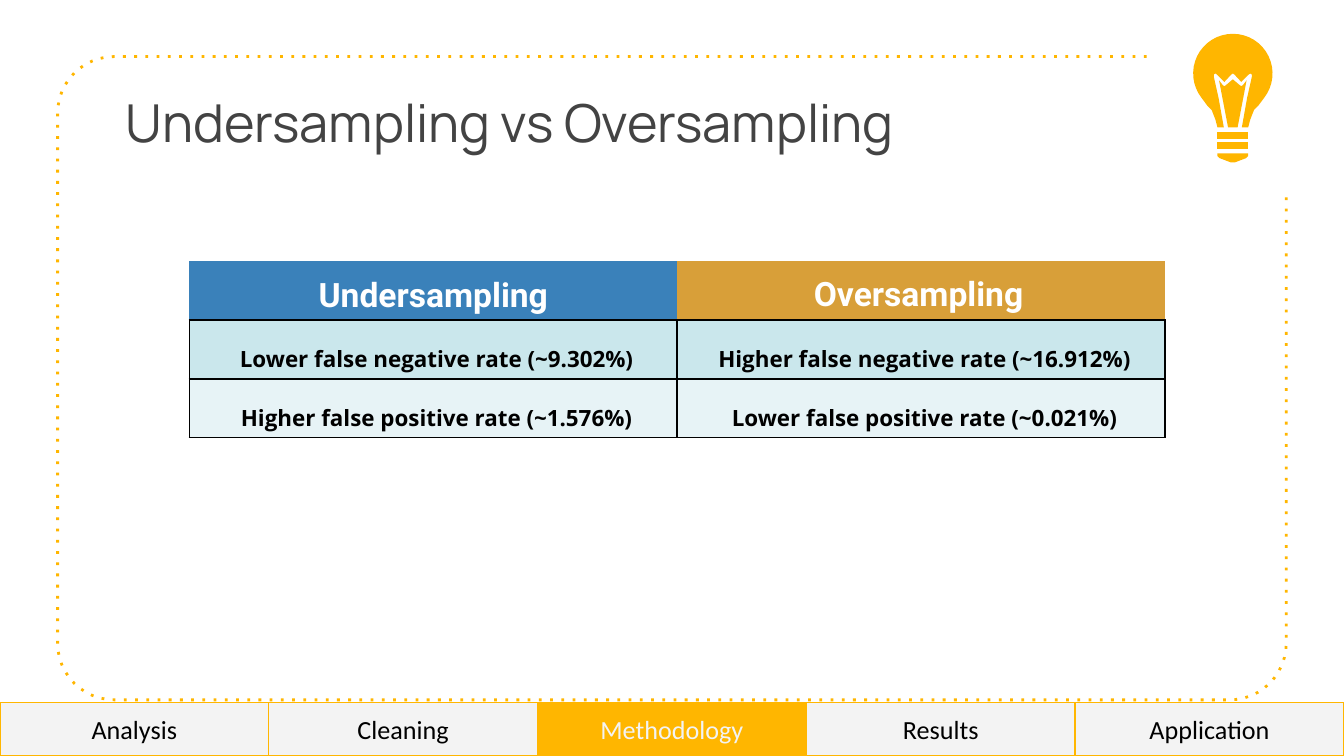
import math
import pptx
import pptx.util
import pptx.dml.color
import pptx.enum.shapes
import pptx.enum.text
import pptx.oxml
import pptx.oxml.ns
from lxml import etree
from pptx.util import Cm, Pt

# Content
TITLE = "Undersampling vs Oversampling"
TABLE_ROWS = [
    ("Undersampling", "Oversampling"),
    ("Lower false negative rate (~9.302%)", "Higher false negative rate (~16.912%)"),
    ("Higher false positive rate (~1.576%)", "Lower false positive rate (~0.021%)"),
]
SECTIONS = ["Analysis", "Cleaning", "Methodology", "Results", "Application"]
CURRENT_SECTION = "Methodology"

THEME = {
    "accent": "FFB600", "tab": "F3F3F3", "title": "434343",
    "black": "000000", "white": "FFFFFF",
    "cells": [("3A81BA", "D89F39"), ("CAE7EC",) * 2, ("E7F3F6",) * 2],
    "title_font": ("Manrope", 28), "header_font": ("Roboto", 18),
    "body_font": ("Open Sans", 12), "tab_font": ("Calibri", 14),
}

# Geometry in centimetres
SLIDE_WIDTH, SLIDE_HEIGHT = 25.4, 14.29
FRAME_LEFT, FRAME_TOP, FRAME_RIGHT, FRAME_BOTTOM = 1.09, 1.07, 24.31, 13.23
FRAME_RADIUS = 1.07
TAB_TOP, TAB_HEIGHT = 13.28, 1.0
BULB_AXIS, BULB_CENTRE, BULB_RADIUS = 23.3, 1.39, 0.75


def color(name):
    return pptx.dml.color.RGBColor.from_string(THEME.get(name, name))


def arc(center_x, center_y, radius, start, end, steps=12):
    angles = [math.radians(start + (end - start) * i / steps) for i in range(steps + 1)]
    return [(center_x + radius * math.cos(a), center_y + radius * math.sin(a)) for a in angles]


def add_outline(slide, points, closed):
    points = [(Cm(x), Cm(y)) for x, y in points]
    builder = slide.shapes.build_freeform(*points[0])
    builder.add_line_segments(points[1:], close=closed)
    shape = builder.convert_to_shape()
    shape.shadow.inherit = False
    return shape


def write(text_frame, text, font, color_name, bold=False, centered=True):
    paragraph = text_frame.paragraphs[0]
    paragraph.text = text
    alignment = pptx.enum.text.PP_ALIGN
    paragraph.alignment = alignment.CENTER if centered else alignment.LEFT
    paragraph.font.name, size = THEME[font]
    paragraph.font.size = Pt(size)
    paragraph.font.bold = bold
    paragraph.font.color.rgb = color(color_name)


def set_margins(target, left, top, right, bottom):
    target.margin_left, target.margin_top = Cm(left), Cm(top)
    target.margin_right, target.margin_bottom = Cm(right), Cm(bottom)


def set_borders(cell, visible_sides):
    properties = cell._tc.get_or_add_tcPr()
    for index, side in enumerate("LRTB"):
        fill = (f'<a:solidFill><a:srgbClr val="{THEME["black"]}"/></a:solidFill>'
                if side in visible_sides else "<a:noFill/>")
        properties.insert(index, pptx.oxml.parse_xml(
            f'<a:ln{side} {pptx.oxml.ns.nsdecls("a")} w="{Pt(1)}">{fill}</a:ln{side}>'))


def add_frame(slide):
    left, right = FRAME_LEFT + FRAME_RADIUS, FRAME_RIGHT - FRAME_RADIUS
    top, bottom = FRAME_TOP + FRAME_RADIUS, FRAME_BOTTOM - FRAME_RADIUS
    points = ([(21.67, FRAME_TOP)]
              + arc(left, top, FRAME_RADIUS, 270, 180)
              + arc(left, bottom, FRAME_RADIUS, 180, 90)
              + arc(right, bottom, FRAME_RADIUS, 90, 0)
              + [(FRAME_RIGHT, 3.71)])
    frame = add_outline(slide, points, closed=False)
    frame.fill.background()
    frame.line.color.rgb = color("accent")
    frame.line.width = Pt(1.5)
    line = frame.element.spPr.find(pptx.oxml.ns.qn("a:ln"))
    etree.SubElement(line, pptx.oxml.ns.qn("a:prstDash")).set("val", "dot")


def add_table(slide):
    table = slide.shapes.add_table(
        3, 2, Cm(3.58), Cm(4.94), Cm(18.44), Cm(3.33)).table
    for row_index, texts in enumerate(TABLE_ROWS):
        header = row_index == 0
        for column_index, text in enumerate(texts):
            cell = table.cell(row_index, column_index)
            cell.fill.solid()
            cell.fill.fore_color.rgb = color(THEME["cells"][row_index][column_index])
            cell.vertical_anchor = pptx.enum.text.MSO_ANCHOR.MIDDLE
            if header:
                set_margins(cell, 0, 0.2 - 0.02 * column_index, 0.1 * column_index, 0)
            else:
                set_margins(cell, 0.23, 0.41, 0.1, 0.05)
            write(cell.text_frame, text, "header_font" if header else "body_font",
                  "white" if header else "black", bold=True)
            set_borders(cell, "B" if header else "LRTB")


def add_title(slide):
    box = slide.shapes.add_textbox(Cm(2.13), Cm(1.45), Cm(19.08), Cm(2.39))
    box.text_frame.word_wrap = True
    set_margins(box.text_frame, *[0.25] * 4)
    write(box.text_frame, TITLE, "title_font", "title", centered=False)


def add_tabs(slide):
    width = SLIDE_WIDTH / len(SECTIONS)
    for index, section in enumerate(SECTIONS):
        current = section == CURRENT_SECTION
        tab = slide.shapes.add_shape(
            pptx.enum.shapes.MSO_SHAPE.RECTANGLE,
            Cm(index * width), Cm(TAB_TOP), Cm(width), Cm(TAB_HEIGHT))
        tab.shadow.inherit = False
        tab.fill.solid()
        tab.fill.fore_color.rgb = color("accent" if current else "tab")
        tab.line.color.rgb = color("accent")
        tab.line.width = Pt(0.75)
        tab.text_frame.vertical_anchor = pptx.enum.text.MSO_ANCHOR.MIDDLE
        set_margins(tab.text_frame, *[0.25] * 4)
        write(tab.text_frame, section, "tab_font", "tab" if current else "black")


def add_bulb(slide):
    # Left halves as (distance from the axis, y); the right halves mirror them
    head = [(-x, y) for x, y in arc(0, BULB_CENTRE, BULB_RADIUS, 270, 142, 16)]
    neck = [(0.48, 2.0), (0.4, 2.08), (0.33, 2.26), (0.29, 2.41)]
    filament_gap = [(0.17, 2.41), (0.27, 1.85), (0.36, 1.45), (0.36, 1.41),
                    (0.33, 1.39), (0.3, 1.41), (0.16, 1.55), (0.03, 1.41), (0, 1.39)]
    halves = [
        [(0.29, 2.69), (0.29, 2.82)],
        [(0.29, 2.49), (0.29, 2.62)],
        [(0.29, 2.9), (0.29, 2.95), (0.25, 2.99), (0.04, 3.07)],
        [(0, 1.5), (0.13, 1.61), (0.16, 1.63), (0.19, 1.61), (0.26, 1.52), (0.09, 2.41)],
        head + neck + filament_gap,
    ]
    for half in halves:
        points = ([(BULB_AXIS - x, y) for x, y in half]
                  + [(BULB_AXIS + x, y) for x, y in reversed(half)])
        part = add_outline(slide, points, closed=True)
        part.fill.solid()
        part.fill.fore_color.rgb = color("accent")
        part.line.fill.background()


def main():
    presentation = pptx.Presentation()
    presentation.slide_width, presentation.slide_height = Cm(SLIDE_WIDTH), Cm(SLIDE_HEIGHT)
    slide = presentation.slides.add_slide(presentation.slide_layouts[6])
    for add_part in (add_frame, add_table, add_title, add_tabs, add_bulb):
        add_part(slide)
    presentation.save("out.pptx")


if __name__ == "__main__":
    main()
